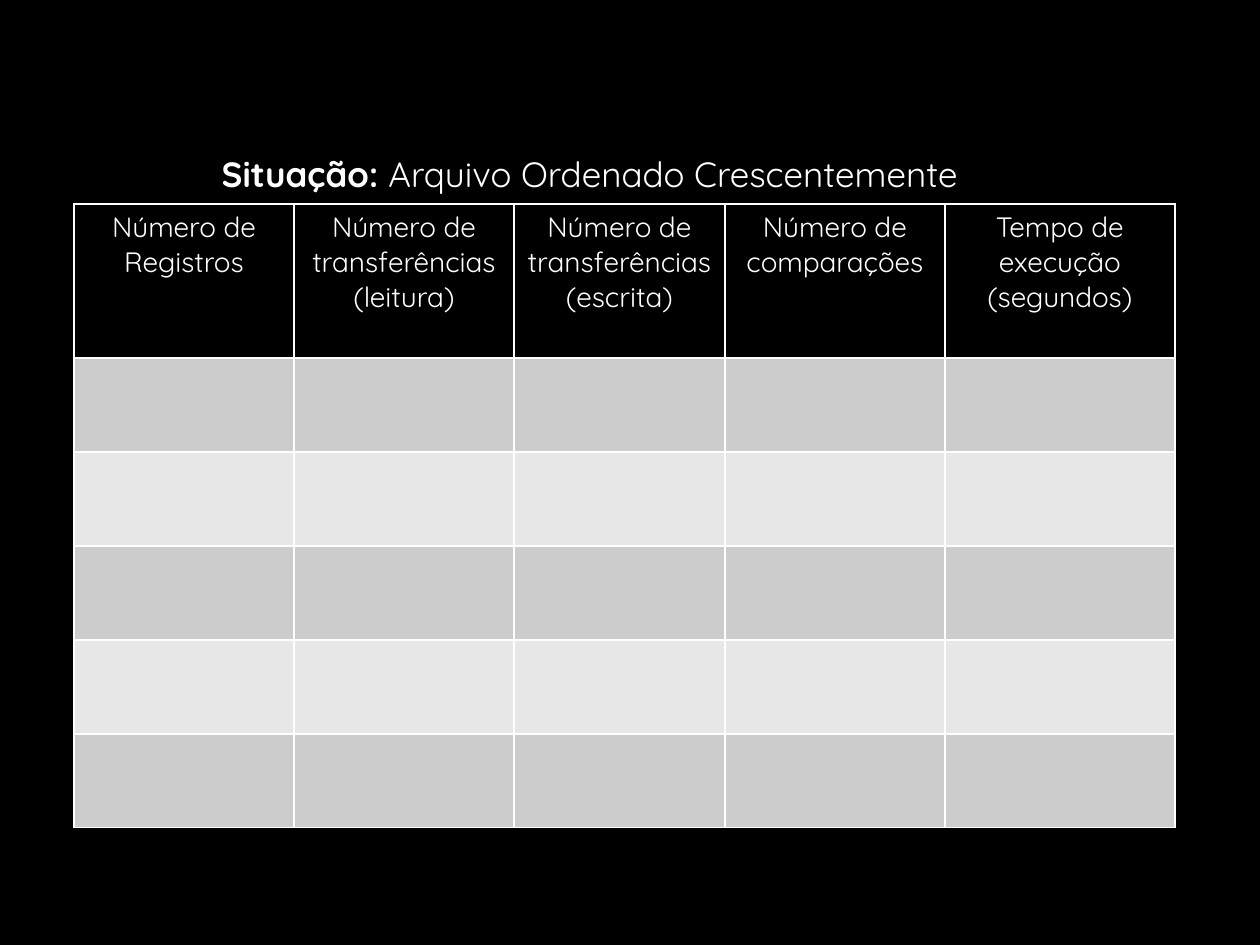
from lxml import etree
from pptx import Presentation
from pptx import util as u
from pptx.dml.color import RGBColor
from pptx.enum import text
from pptx.oxml.ns import qn

COLORS = {"black": "000000", "white": "FFFFFF", "dark_band": "CCCCCC", "light_band": "E7E7E7"}
FONT = "Quicksand"


def px(n):
    return u.Emu(round(n * 914400 / 126))


def style_font(font, size):
    font.name = FONT
    font.size = u.Pt(size)
    font.color.rgb = RGBColor.from_string(COLORS["white"])


prs = Presentation()
prs.slide_width, prs.slide_height = px(1260), px(945)
slide = prs.slides.add_slide(prs.slide_layouts[5])
slide.background.fill.solid()
slide.background.fill.fore_color.rgb = RGBColor.from_string(COLORS["black"])

situation = slide.shapes.title
situation.left, situation.top, situation.width, situation.height = px(209), px(125), px(848), px(115)
frame = situation.text_frame
frame.word_wrap = True
frame.auto_size = text.MSO_AUTO_SIZE.NONE
frame.vertical_anchor = text.MSO_ANCHOR.TOP
heading = frame.paragraphs[0]
heading.alignment = text.PP_ALIGN.LEFT
heading.line_spacing = 1.5
style_font(heading.font, 20)
for words, bold in [("Situação: ", True), ("Arquivo Ordenado Crescentemente", False)]:
    run = heading.add_run()
    run.text = words
    run.font.bold = bold

headers = [
    "Número de Registros",
    "Número de transferências\n(leitura)",
    "Número de transferências\n(escrita)",
    "Número de comparações",
    "Tempo de execução\n(segundos)",
]
column_widths = [220, 220, 211, 220, 230]
row_heights = [154] + [94] * 5

results = slide.shapes.add_table(
    len(row_heights), len(column_widths),
    px(74), px(204), px(sum(column_widths)), px(sum(row_heights)),
).table
for column, width in zip(results.columns, column_widths):
    column.width = px(width)

for r, height in enumerate(row_heights):
    results.rows[r].height = px(height)
    band = "black" if r == 0 else "dark_band" if r % 2 else "light_band"
    for c, header in enumerate(headers):
        cell = results.cell(r, c)
        cell.margin_left = cell.margin_right = px(9)
        cell.margin_top = cell.margin_bottom = px(6)
        properties = cell._tc.get_or_add_tcPr()
        for side in ("lnL", "lnR", "lnT", "lnB"):
            border = etree.SubElement(properties, qn(f"a:{side}"), w=str(u.Pt(1)))
            line_fill = etree.SubElement(border, qn("a:solidFill"))
            etree.SubElement(line_fill, qn("a:srgbClr"), val=COLORS["white"])
        cell.fill.solid()
        cell.fill.fore_color.rgb = RGBColor.from_string(COLORS[band])
        if r == 0:
            cell.text = header
            for paragraph in cell.text_frame.paragraphs:
                paragraph.alignment = text.PP_ALIGN.CENTER
                style_font(paragraph.font, 16)
                paragraph.font.bold = False

prs.save("out.pptx")
